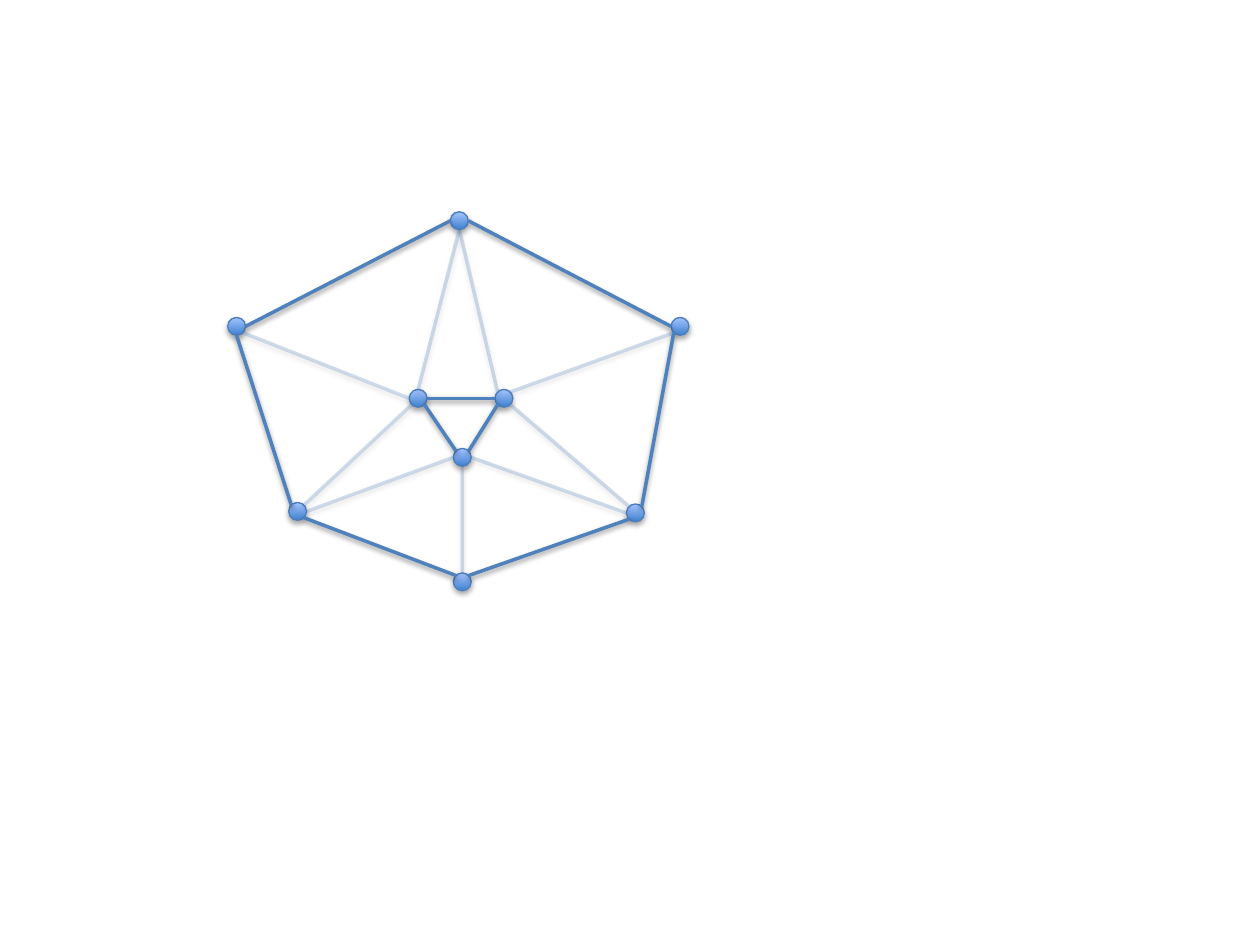
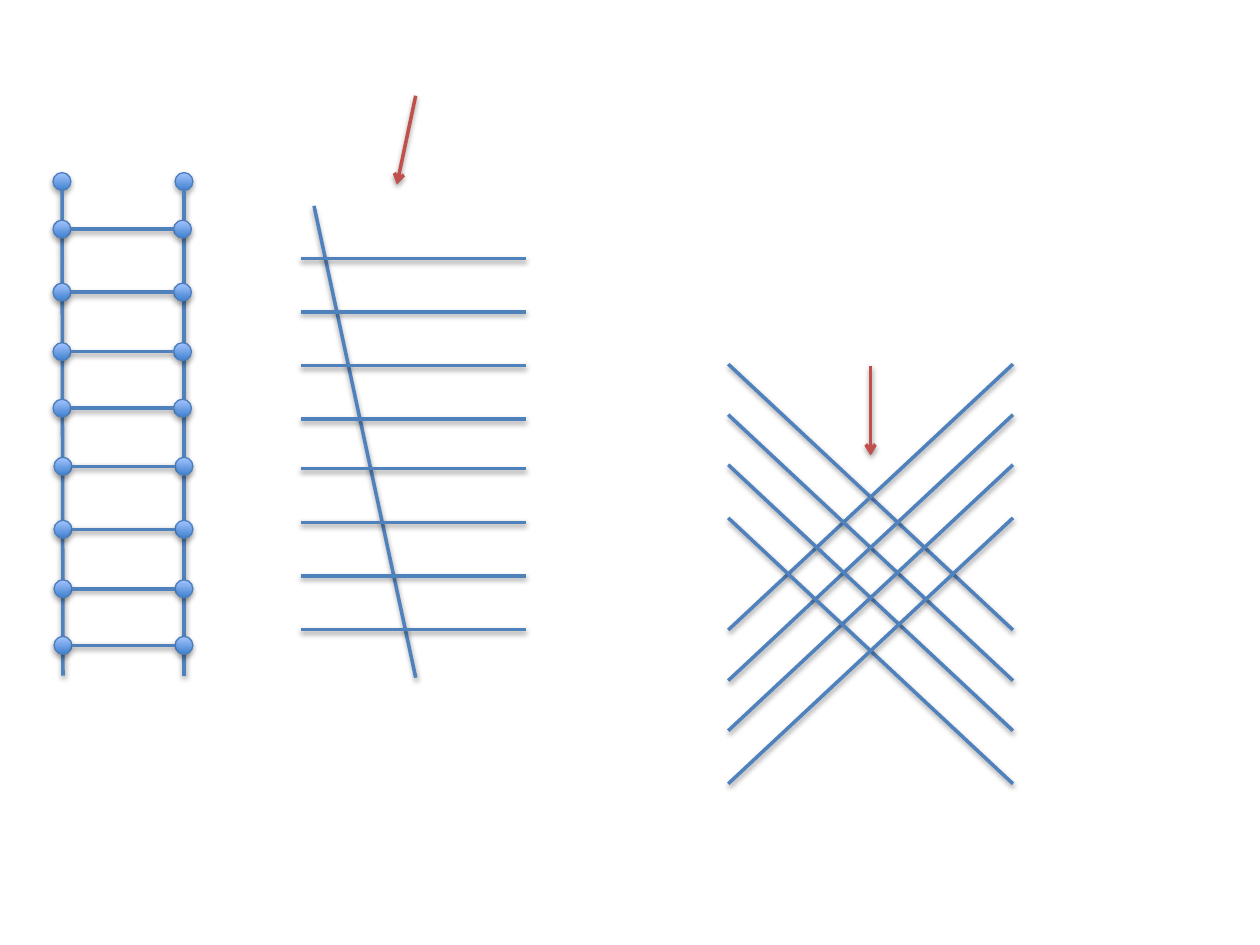
"""Two slides of line diagrams: a triangulated ring, and ladder and crossing patterns."""
from lxml import etree
from pptx import Presentation
from pptx.dml.color import RGBColor
from pptx.enum.shapes import MSO_CONNECTOR, MSO_SHAPE
from pptx.oxml.ns import qn
from pptx.util import Cm, Pt

STRAIGHT = MSO_CONNECTOR.STRAIGHT
NODE_SHAPE = MSO_SHAPE.FLOWCHART_CONNECTOR

COLOURS = {
    "line": "4F81BD",
    "arrow": "C0504D",
    "node_low": "3F80CE",
    "node_high": "A4C4FF",
    "node_edge": "4B7EBC",
    "shadow": "000000",
}
NODE_SIZE = 0.36
LINE_WIDTH, NODE_EDGE_WIDTH = 2, 0.75
FAINT = 25  # opacity in percent
SHADOWS = {  # blur and distance in points, opacity in percent
    "node": {"blur": 3.1, "distance": 1.8, "opacity": 35},
    "line": {"blur": 3.1, "distance": 1.6, "opacity": 38},
}

# Connection sites of a node: (index, x direction, y direction)
DIAGONAL = 0.71
SITES = {
    "N": (0, 0, -1), "NW": (1, -DIAGONAL, -DIAGONAL),
    "W": (2, -1, 0), "SW": (3, -DIAGONAL, DIAGONAL),
    "S": (4, 0, 1), "SE": (5, DIAGONAL, DIAGONAL),
    "E": (6, 1, 0), "NE": (7, DIAGONAL, -DIAGONAL),
}

# Slide 1: node centres in cm, and edges as (node, site, node, site)
RING_NODES = {
    "left": (4.77, 6.58), "top": (9.26, 4.45), "right": (13.71, 6.58),
    "bottom": (9.32, 11.73), "lower right": (12.81, 10.34),
    "lower left": (6.0, 10.31), "inner left": (8.43, 8.03),
    "inner right": (10.16, 8.03), "inner low": (9.32, 9.22),
}
SOLID_EDGES = [
    ("top", "E", "right", "W"),
    ("left", "E", "top", "W"),
    ("inner left", "E", "inner right", "W"),
    ("inner right", "SW", "inner low", "NE"),
    ("inner left", "SE", "inner low", "NW"),
    ("lower left", "NW", "left", "S"),
    ("bottom", "NW", "lower left", "SE"),
    ("bottom", "NE", "lower right", "SW"),
    ("lower right", "NE", "right", "SW"),
]
FAINT_EDGES = [
    ("inner low", "S", "bottom", "N"),
    ("inner low", "E", "lower right", "W"),
    ("inner right", "SE", "lower right", "NW"),
    ("inner right", "NE", "right", "SW"),
    ("top", "S", "inner right", "NW"),
    ("top", "S", "inner left", "N"),
    ("left", "SE", "inner left", "W"),
    ("lower left", "NE", "inner left", "SW"),
    ("lower left", "E", "inner low", "W"),
]

# Slide 2: lengths in cm
LADDER_TOP = {"y": 3.66, "left": 1.25, "right": 3.71}
LADDER_GROUPS = [  # each group repeats the same rung offsets
    {"y": 4.62, "left": 1.25, "right": 3.68},
    {"y": 9.4, "left": 1.27, "right": 3.71},
]
RUNG_OFFSETS = [0, 1.27, 2.47, 3.61]
LADDER_FOOT = 13.62
SWEEP_LINE = ((8.38, 13.66), (6.33, 4.15))
SWEEP_X = (6.07, 10.61)
SWEEP_STARTS, SWEEP_GAP, SWEEP_COUNT = (5.21, 9.45), 1.08, 4
CROSS_X = (14.68, 20.42)
CROSS_TOPS, CROSS_DROP = (7.34, 8.36, 9.37, 10.44), 5.36
ARROWS = [((8.38, 1.93), (8.0, 3.72)), ((17.55, 7.37), (17.55, 9.18))]


def add_element(parent, tag, **attributes):
    """Append a DrawingML element and return it."""
    element = etree.SubElement(parent, qn(tag))
    for name, value in attributes.items():
        element.set(name, str(value))
    return element


def add_alpha(colour_element, percent):
    """Give a colour element an opacity."""
    add_element(colour_element, "a:alpha", val=percent * 1000)


def add_shadow(shape, kind):
    """Add the soft downward shadow of a node or a line."""
    style = SHADOWS[kind]
    effects = add_element(shape._element.spPr, "a:effectLst")
    outer = add_element(effects, "a:outerShdw", blurRad=Pt(style["blur"]),
                        dist=Pt(style["distance"]), dir=5400000, rotWithShape=0)
    add_alpha(add_element(outer, "a:srgbClr", val=COLOURS["shadow"]), style["opacity"])


def set_line(shape, colour, width):
    """Set the line colour and width of a shape or connector."""
    shape.line.color.rgb = RGBColor.from_string(COLOURS[colour])
    shape.line.width = Pt(width)


def add_node(slide, x, y):
    """Draw a shaded node centred on a point."""
    corner = [Cm(value - NODE_SIZE / 2) for value in (x, y)]
    node = slide.shapes.add_shape(NODE_SHAPE, *corner, Cm(NODE_SIZE), Cm(NODE_SIZE))
    node.fill.gradient()
    node.fill.gradient_angle = 90
    for position, (stop, colour) in enumerate(
            zip(node.fill.gradient_stops, ("node_low", "node_high"))):
        stop.color.rgb = RGBColor.from_string(COLOURS[colour])
        stop.position = position
    set_line(node, "node_edge", NODE_EDGE_WIDTH)
    add_shadow(node, "node")
    return node


def add_line(slide, start, end, colour="line", opacity=100, arrow=False):
    """Draw a shadowed straight line between two points."""
    line = slide.shapes.add_connector(STRAIGHT, *map(Cm, start + end))
    set_line(line, colour, LINE_WIDTH)
    outline = line._element.spPr.find(qn("a:ln"))
    if opacity < 100:
        add_alpha(outline.find(".//" + qn("a:srgbClr")), opacity)
    if arrow:
        add_element(outline, "a:tailEnd", type="arrow")
    add_shadow(line, "line")
    return line


def site_point(centre, site):
    """Return the point of a connection site on a node."""
    _, *direction = SITES[site]
    return tuple(c + d * NODE_SIZE / 2 for c, d in zip(centre, direction))


def add_edge(slide, start, start_site, end, end_site, opacity=100):
    """Join two (node, centre) pairs with a glued line."""
    line = add_line(slide, site_point(start[1], start_site),
                    site_point(end[1], end_site), opacity=opacity)
    links = line._element.nvCxnSpPr.cNvCxnSpPr
    for tag, (node, _), site in (("a:stCxn", start, start_site), ("a:endCxn", end, end_site)):
        add_element(links, tag, id=node.shape_id, idx=SITES[site][0])


def draw_ring(slide):
    """Draw the outer ring, the inner triangle and the faint edges between."""
    nodes = {name: (add_node(slide, *centre), centre) for name, centre in RING_NODES.items()}
    for edges, opacity in ((FAINT_EDGES, FAINT), (SOLID_EDGES, 100)):
        for start, start_site, end, end_site in edges:
            add_edge(slide, nodes[start], start_site, nodes[end], end_site, opacity)


def draw_ladder(slide):
    """Draw two rails with a node at each rung end."""
    for side in ("left", "right"):
        x = LADDER_TOP[side]
        foot_x = LADDER_GROUPS[-1][side]
        add_node(slide, x, LADDER_TOP["y"])
        add_line(slide, (foot_x, LADDER_FOOT), (x, LADDER_TOP["y"] + NODE_SIZE / 2))
    for group in LADDER_GROUPS:
        for offset in RUNG_OFFSETS:
            centres = [(group[side], group["y"] + offset) for side in ("left", "right")]
            left, right = [(add_node(slide, *centre), centre) for centre in centres]
            add_edge(slide, left, "E", right, "W")


def draw_sweep(slide):
    """Draw a slanted line across two groups of level lines."""
    add_line(slide, *SWEEP_LINE)
    left, right = SWEEP_X
    for start in SWEEP_STARTS:
        for row in range(SWEEP_COUNT):
            y = start + row * SWEEP_GAP
            add_line(slide, (left, y), (right, y))


def draw_crossing(slide):
    """Draw pairs of diagonals that cross."""
    left, right = CROSS_X
    for top in CROSS_TOPS:
        bottom = top + CROSS_DROP
        add_line(slide, (right, bottom), (left, top))
        add_line(slide, (left, bottom), (right, top))


def draw_arrows(slide):
    """Draw the arrows that mark the viewing directions."""
    for start, end in ARROWS:
        add_line(slide, start, end, colour="arrow", arrow=True)


presentation = Presentation()
presentation.slide_width, presentation.slide_height = Cm(25.4), Cm(19.05)
blank_layout = presentation.slide_layouts[6]
for drawings in ([draw_ring], [draw_ladder, draw_sweep, draw_crossing, draw_arrows]):
    slide = presentation.slides.add_slide(blank_layout)
    for draw in drawings:
        draw(slide)
presentation.save("out.pptx")
